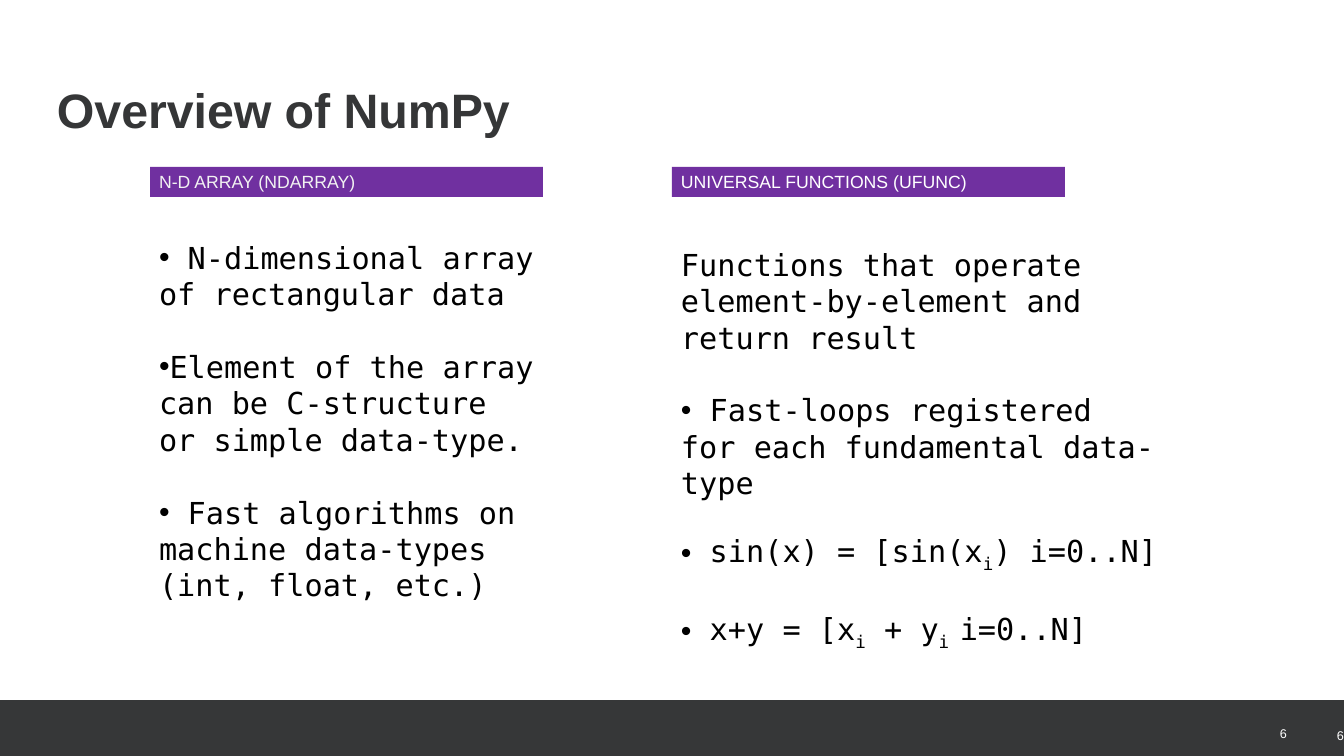
from dataclasses import dataclass

from lxml.etree import SubElement
from pptx import Presentation
from pptx.dml.color import RGBColor
from pptx.enum.shapes import MSO_SHAPE
from pptx.enum.text import MSO_ANCHOR, PP_ALIGN
from pptx.oxml.ns import qn
from pptx.shapes.autoshape import Shape
from pptx.slide import Slide
from pptx.text.text import TextFrame
from pptx.util import Emu, Pt

EMU_PER_PX = 914400 / 100.8


def px(length: int) -> Emu:
    return Emu(round(length * EMU_PER_PX))


@dataclass(frozen=True)
class Theme:
    footer: str = "363738"
    title: str = "353637"
    banner: str = "7030A0"
    pale: str = "F2F2F2"
    white: str = "FFFFFF"
    body: str = "000000"
    sans: str = "Arial"
    mono: str = "DejaVu Sans Mono"
    title_size: float = 34.5
    banner_size: float = 12.6
    body_size: float = 21.6
    number_size: float = 9


THEME = Theme()


@dataclass(frozen=True)
class Box:
    left: int
    top: int
    width: int
    height: int

    def emu(self) -> tuple[Emu, Emu, Emu, Emu]:
        return px(self.left), px(self.top), px(self.width), px(self.height)


@dataclass(frozen=True)
class Style:
    size: float
    color: str
    name: str = THEME.sans
    bold: bool = False


@dataclass(frozen=True)
class Point:
    pieces: tuple[str, ...]  # every second piece is a subscript
    bulleted: bool = True
    gap: int = 26


@dataclass(frozen=True)
class Column:
    heading: str
    heading_color: str
    banner: Box
    body: Box
    points: tuple[Point, ...]


COLUMNS = (
    Column("N-D ARRAY (NDARRAY)", THEME.pale,
           Box(150, 167, 393, 30), Box(150, 235, 393, 376), (
               Point((" N-dimensional array of rectangular data",), gap=0),
               Point(("Element of the array can be C-structure or simple data-type.",)),
               Point((" Fast algorithms on machine data-types (int, float, etc.)",)),
           )),
    Column("UNIVERSAL FUNCTIONS (UFUNC)", THEME.white,
           Box(672, 167, 393, 30), Box(672, 242, 495, 339), (
               Point(("Functions that operate element-by-element and return result",),
                     bulleted=False, gap=0),
               Point((" Fast-loops registered for each fundamental data-type",)),
               Point((" sin(x) = [sin(x", "i", ") i=0..N]")),
               Point((" x+y = [x", "i", " + y", "i ", "i=0..N]"), gap=30),
           )),
)


def set_frame(frame: TextFrame, side: int = 0, edge: int = 0,
              anchor: MSO_ANCHOR = MSO_ANCHOR.TOP) -> None:
    values = {
        "word_wrap": True,
        "vertical_anchor": anchor,
        "margin_left": px(side),
        "margin_right": px(side),
        "margin_top": px(edge),
        "margin_bottom": px(edge),
    }
    for key, value in values.items():
        setattr(frame, key, value)


def write(paragraph, text: str, style: Style, subscript: bool = False) -> None:
    run = paragraph.add_run()
    run.text = text
    values = {"size": Pt(style.size), "name": style.name, "bold": style.bold}
    for key, value in values.items():
        setattr(run.font, key, value)
    run.font.color.rgb = RGBColor.from_string(style.color)
    if subscript:
        run._r.get_or_add_rPr().set("baseline", "-25000")


def add_bar(slide: Slide, box: Box, color: str) -> Shape:
    bar = slide.shapes.add_shape(MSO_SHAPE.RECTANGLE, *box.emu())
    bar.shadow.inherit = False
    bar.fill.solid()
    bar.fill.fore_color.rgb = RGBColor.from_string(color)
    bar.line.fill.background()
    return bar


def add_label(slide: Slide, box: Box, text: str, style: Style, leading: float,
              align: PP_ALIGN = PP_ALIGN.LEFT,
              anchor: MSO_ANCHOR = MSO_ANCHOR.TOP) -> None:
    frame = slide.shapes.add_textbox(*box.emu()).text_frame
    set_frame(frame, anchor=anchor)
    paragraph = frame.paragraphs[0]
    paragraph.alignment = align
    paragraph.line_spacing = Pt(leading)
    write(paragraph, text, style)


def add_bullet(paragraph) -> None:
    properties = paragraph._p.get_or_add_pPr()
    properties.set("marL", "0")
    properties.set("indent", "0")
    SubElement(properties, qn("a:buFont")).set("typeface", THEME.sans)
    SubElement(properties, qn("a:buChar")).set("char", "•")


def add_column(slide: Slide, column: Column) -> None:
    # Heading banner
    heading = add_bar(slide, column.banner, THEME.banner).text_frame
    set_frame(heading, side=9, edge=4)
    heading.paragraphs[0].alignment = PP_ALIGN.LEFT
    write(heading.paragraphs[0], column.heading,
          Style(THEME.banner_size, column.heading_color))

    # Points
    body = slide.shapes.add_textbox(*column.body.emu()).text_frame
    set_frame(body, side=9, edge=4)
    style = Style(THEME.body_size, THEME.body, THEME.mono)
    for order, point in enumerate(column.points):
        paragraph = body.add_paragraph() if order else body.paragraphs[0]
        if point.bulleted:
            add_bullet(paragraph)
        paragraph.line_spacing = Pt(26)
        if point.gap:
            paragraph.space_before = Pt(point.gap)
        for position, piece in enumerate(point.pieces):
            write(paragraph, piece, style, subscript=position % 2 == 1)


def main() -> None:
    deck = Presentation()
    deck.slide_width, deck.slide_height = px(1344), px(756)
    slide = deck.slides.add_slide(deck.slide_layouts[6])

    # Footer with page numbers
    add_bar(slide, Box(0, 700, 1344, 56), THEME.footer)
    for number_box in (Box(1232, 700, 55, 55), Box(1289, 702, 55, 55)):
        add_label(slide, number_box, "6", Style(THEME.number_size, THEME.white),
                  19, PP_ALIGN.RIGHT, MSO_ANCHOR.MIDDLE)

    # Title
    add_label(slide, Box(57, 93, 603, 80), "Overview of NumPy",
              Style(THEME.title_size, THEME.title, bold=True), 32.5)

    # Two columns
    for column in COLUMNS:
        add_column(slide, column)

    deck.save("out.pptx")


if __name__ == "__main__":
    main()
